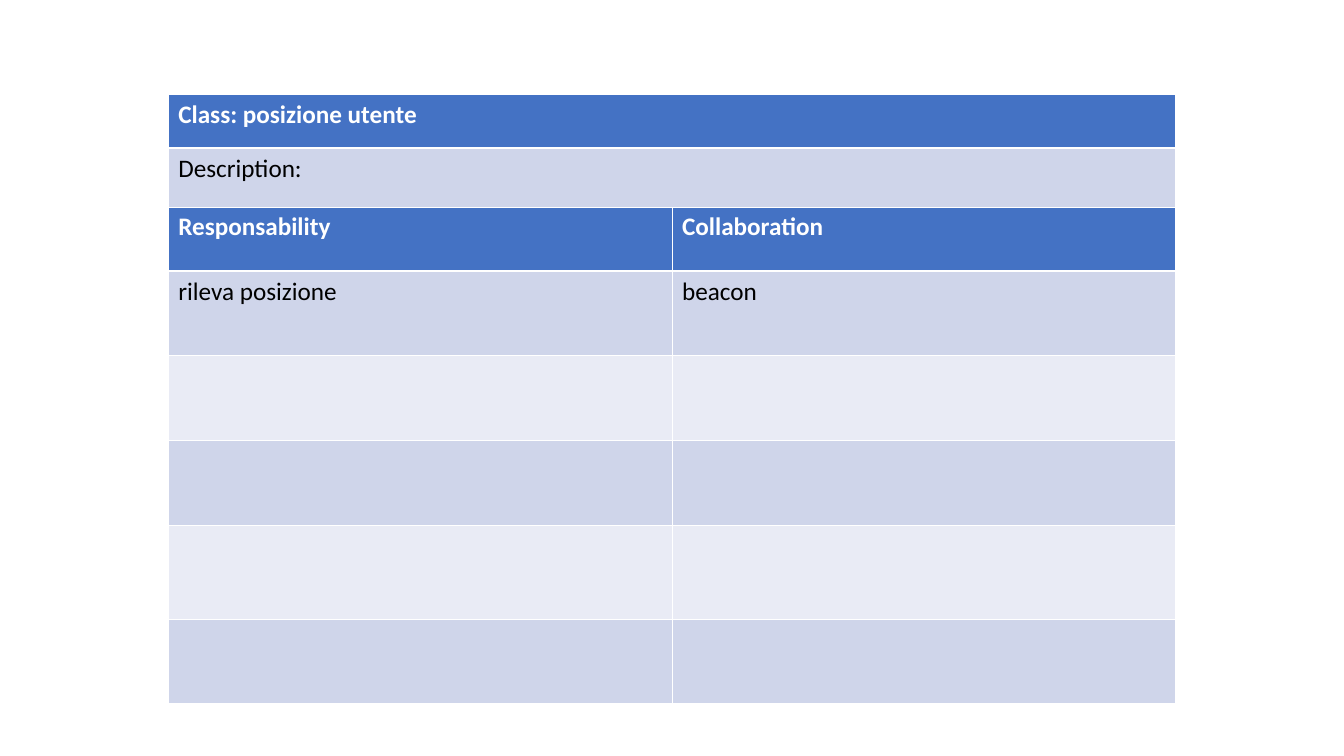
from lxml import etree
from pptx import Presentation
from pptx.dml.color import RGBColor
from pptx.oxml.ns import qn
from pptx.util import Inches, Pt

WHITE, BLACK = "FFFFFF", "000000"
HEADER, BAND_DARK, BAND_LIGHT = "4472C4", "CFD5EA", "E9EBF5"
THIN, THICK = 0.45, 1.47


def color(value):
    return RGBColor.from_string(value)


def set_text(cell, content, *, size=18, font="Calibri", fill=BLACK, bold=False):
    paragraph = cell.text_frame.paragraphs[0]
    paragraph.text = content
    paragraph.font.size = Pt(size)
    paragraph.font.name = font
    paragraph.font.bold = bold
    paragraph.font.color.rgb = color(fill)


def set_borders(cell, top, bottom):
    """Draw white borders; must run before the cell's fill is set."""
    properties = cell._tc.get_or_add_tcPr()
    for side, width in (("L", THIN), ("R", THIN), ("T", top), ("B", bottom)):
        line = etree.SubElement(properties, qn(f"a:ln{side}"), w=str(Pt(width)))
        solid = etree.SubElement(line, qn("a:solidFill"))
        etree.SubElement(solid, qn("a:srgbClr"), val=WHITE)


def add_card_table(slide, top, column_widths, row_heights, rows):
    """Add a table with a header row over alternating bands."""
    frame = slide.shapes.add_table(
        len(row_heights), len(column_widths), Inches(1.67), Inches(top),
        Inches(sum(column_widths)), Inches(sum(row_heights)))
    table = frame.table
    table.first_row = table.horz_banding = False
    for column, width in zip(table.columns, column_widths):
        column.width = Inches(width)
    for index, (row, height) in enumerate(zip(table.rows, row_heights)):
        row.height = Inches(height)
        is_header = index == 0
        band = BAND_DARK if index % 2 else BAND_LIGHT
        contents = rows[index] if index < len(rows) else [""] * len(column_widths)
        for cell, content in zip(row.cells, contents):
            set_borders(cell, top=THICK if index == 1 else THIN,
                        bottom=THICK if is_header else THIN)
            cell.fill.solid()
            cell.fill.fore_color.rgb = color(HEADER if is_header else band)
            set_text(cell, content, fill=WHITE if is_header else BLACK,
                     bold=is_header)


def main():
    presentation = Presentation()
    presentation.slide_width = Inches(13.34)
    presentation.slide_height = Inches(7.5)
    slide = presentation.slides.add_slide(presentation.slide_layouts[6])

    add_card_table(slide, 2.05, [5, 5], [0.64, 0.84, 0.84, 0.84, 0.93, 0.84],
                   [["Responsability", "Collaboration"],
                    ["rileva posizione", "beacon"]])
    add_card_table(slide, 0.94, [10], [0.53, 0.59],
                   [["Class: posizione utente"], ["Description:"]])

    presentation.save("out.pptx")


if __name__ == "__main__":
    main()
